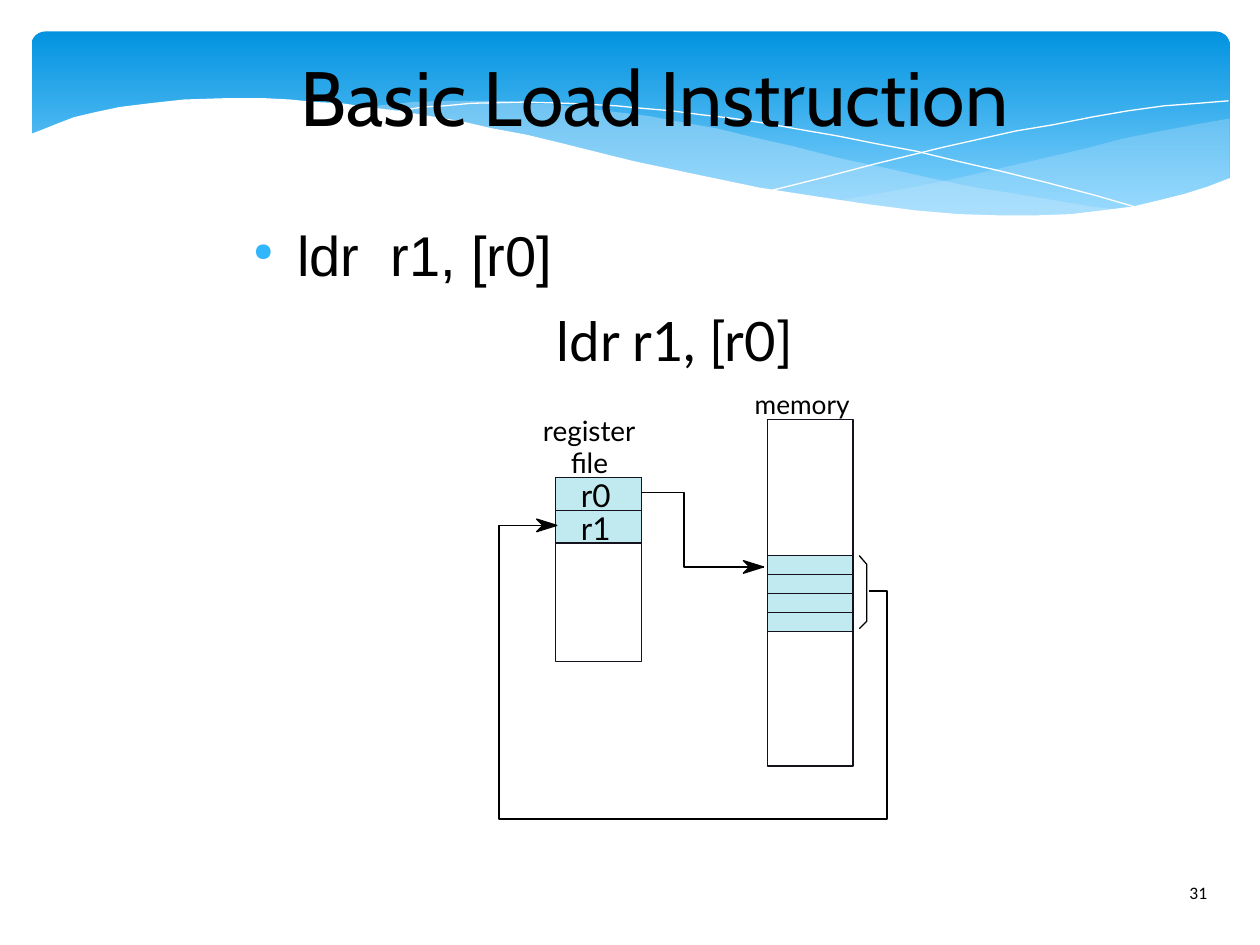
"""Build the Basic Load Instruction slide."""
from lxml import etree
from pptx import Presentation
from pptx.dml.color import RGBColor
from pptx.enum.shapes import MSO_SHAPE
from pptx.enum.text import MSO_ANCHOR, PP_ALIGN
from pptx.oxml.ns import qn
from pptx.util import Inches, Pt

RECT = MSO_SHAPE.RECTANGLE
ROUND = MSO_SHAPE.ROUNDED_RECTANGLE
LEFT, CENTER = PP_ALIGN.LEFT, PP_ALIGN.CENTER
TOP, MIDDLE = MSO_ANCHOR.TOP, MSO_ANCHOR.MIDDLE
COLORS = {"deep": "0293E0", "sky": "83D3FE", "mist": "C6E7FC", "white": "FFFFFF",
          "black": "000000", "edge": "15111D", "cell": "C1EAF0", "bullet": "31B6FD"}

prs = Presentation()
prs.slide_width, prs.slide_height = Inches(10), Inches(7.5)
slide = prs.slides.add_slide(prs.slide_layouts[6])
shapes = slide.shapes


def draw(points, fill=None, line=None, alpha=None):
    spots = [(Inches(x), Inches(y)) for x, y in points]
    form = shapes.build_freeform(*spots[0])
    form.add_line_segments(spots[1:], close=fill is not None)
    shape = form.convert_to_shape()
    shape.shadow.inherit = False
    if fill:
        shape.fill.solid()
        shape.fill.fore_color.rgb = RGBColor.from_string(COLORS[fill])
    else:
        shape.fill.background()
    if line:
        shape.line.color.rgb = RGBColor.from_string(COLORS[line])
        shape.line.width = Pt(0)
    else:
        shape.line.fill.background()
    if alpha:
        tint = next(shape.fill._xPr.iter(qn("a:srgbClr")))
        etree.SubElement(tint, qn("a:alpha"), val=str(alpha * 1000))


def write(text, x, y, w, h, size, font="Lato", align=LEFT, anchor=TOP):
    box = shapes.add_textbox(Inches(x), Inches(y), Inches(w), Inches(h))
    frame = box.text_frame
    frame.word_wrap = True
    frame.vertical_anchor = anchor
    frame.margin_left = frame.margin_right = 0
    frame.margin_top = frame.margin_bottom = 0
    para = frame.paragraphs[0]
    para.alignment = align
    run = para.add_run()
    run.text = text
    run.font.size = Pt(size)
    run.font.name = font
    run.font.color.rgb = RGBColor.from_string(COLORS["black"])
    return para


band = shapes.add_shape(ROUND, Inches(0.25), Inches(0.25), Inches(9.51), Inches(1.56))
band.adjustments[0] = 0.07
band.shadow.inherit = False
band.line.fill.background()
band.fill.gradient()
band.fill.gradient_angle = 270
for stop, name, spot in zip(band.fill.gradient_stops, ("deep", "sky"), (0, 0.9)):
    stop.color.rgb = RGBColor.from_string(COLORS[name])
    stop.position = spot

draw([(9.76, 0.94), (9.48, 0.99), (9.21, 1.04), (8.91, 1.1), (8.61, 1.18), (8.05, 1.31),
      (7.53, 1.43), (7.06, 1.52), (6.61, 1.6), (6.91, 1.64), (7.19, 1.67), (7.45, 1.69),
      (7.69, 1.71), (7.92, 1.72), (8.35, 1.72), (8.54, 1.7), (8.72, 1.69), (8.89, 1.66),
      (9.05, 1.63), (9.21, 1.6), (9.35, 1.56), (9.49, 1.52), (9.63, 1.47), (9.76, 1.41)],
     "mist", alpha=29)
draw([(8.93, 1.67), (8.66, 1.64), (8.37, 1.59), (8.07, 1.54), (7.75, 1.49), (7.41, 1.42),
      (7.06, 1.34), (6.68, 1.26), (6.29, 1.16), (5.98, 1.09), (5.69, 1.02), (5.41, 0.97),
      (5.14, 0.92), (4.89, 0.89), (4.65, 0.86), (4.42, 0.83), (4.2, 0.82), (3.99, 0.8),
      (3.61, 0.8), (3.28, 0.81), (2.99, 0.84), (2.86, 0.86), (3.23, 0.9), (3.62, 0.97),
      (4.04, 1.06), (4.49, 1.16), (4.91, 1.26), (5.3, 1.35), (5.66, 1.43), (6.01, 1.5),
      (6.34, 1.56), (6.65, 1.61), (6.95, 1.65), (7.22, 1.68), (7.48, 1.7), (7.73, 1.72),
      (7.96, 1.73), (8.28, 1.73), (8.48, 1.72), (8.67, 1.7), (8.84, 1.68)],
     "mist", alpha=40)
draw([(3.09, 0.9), (3.18, 0.88), (3.35, 0.85), (3.53, 0.84), (3.74, 0.82), (4.16, 0.81),
      (4.5, 0.82), (4.89, 0.84), (5.1, 0.86), (5.33, 0.88), (5.56, 0.91), (5.82, 0.94),
      (6.08, 0.98), (6.36, 1.03), (6.65, 1.08), (6.95, 1.14), (7.27, 1.2), (7.6, 1.28),
      (7.95, 1.36), (8.31, 1.45), (8.69, 1.55), (9.07, 1.66)], line="white")
draw([(6.13, 1.51), (6.53, 1.41), (6.95, 1.3), (7.48, 1.17), (8.06, 1.04), (8.36, 0.99),
      (8.66, 0.93), (8.95, 0.88), (9.24, 0.84), (9.51, 0.82), (9.75, 0.8)], line="white")
draw([(9.77, 1.41), (9.59, 1.48), (9.4, 1.54), (9.2, 1.59), (8.99, 1.64), (8.75, 1.67),
      (8.5, 1.7), (8.23, 1.71), (7.93, 1.71), (7.61, 1.7), (7.26, 1.67), (6.88, 1.62),
      (6.48, 1.56), (6.03, 1.49), (5.55, 1.39), (5.03, 1.28), (4.47, 1.14), (4.18, 1.07),
      (3.91, 1.02), (3.65, 0.96), (3.4, 0.92), (3.16, 0.88), (2.92, 0.85), (2.71, 0.82),
      (2.5, 0.81), (2.3, 0.79), (2.11, 0.78), (1.77, 0.78), (1.46, 0.79), (1.19, 0.82),
      (0.95, 0.85), (0.76, 0.89), (0.59, 0.93), (0.46, 0.98), (0.36, 1.02), (0.23, 1.07),
      (0.23, 2.24), (9.77, 2.24)], "white")

write("31", 9.44, 7, 0.41, 0.3, 10, "Calibri")
write("Basic Load Instruction", 1.14, 0.25, 8.11, 1.02, 44, "Cabin", CENTER, MIDDLE)

body = write("ldr  r1, [r0]", 1.89, 1.75, 8.11, 0.77, 32, "Arial")
props = body._p.get_or_add_pPr()
props.set("marL", str(Inches(0.47)))
props.set("indent", str(Inches(-0.35)))
tint = etree.SubElement(props, qn("a:buClr"))
etree.SubElement(tint, qn("a:srgbClr"), val=COLORS["bullet"])
etree.SubElement(props, qn("a:buSzPct"), val="45000")
etree.SubElement(props, qn("a:buChar"), char="●")
body.space_after = Pt(14.1)

boxes = [(4.41, 3.79, 1.46, None), (6.09, 3.33, 2.75, None)]
boxes += [(4.41, 3.79 + 0.26 * i, 0.26, "cell") for i in range(2)]
boxes += [(6.09, 4.41 + 0.15 * i, 0.15, "cell") for i in range(4)]
for x, y, high, fill in boxes:
    box = shapes.add_shape(RECT, Inches(x), Inches(y), Inches(0.68), Inches(high))
    box.shadow.inherit = False
    box.line.color.rgb = RGBColor.from_string(COLORS["edge"])
    box.line.width = Pt(0)
    if fill:
        box.fill.solid()
        box.fill.fore_color.rgb = RGBColor.from_string(COLORS[fill])
    else:
        box.fill.background()

wires = [[(5.09, 3.91), (5.43, 3.91), (5.43, 4.5), (6.06, 4.5)],
         [(6.9, 4.69), (7.04, 4.69), (7.04, 6.5), (3.96, 6.5), (3.96, 4.17), (4.42, 4.17)]]
for wire in wires:
    x, y = wire[-1]
    draw(wire, line="black")
    draw([(x - 0.11, y), (x - 0.16, y + 0.05), (x, y), (x - 0.16, y - 0.05)],
         "black", "black")
draw([(6.82, 4.41), (6.88, 4.48), (6.88, 4.93), (6.82, 4.99)], line="black")

labels = [("ldr r1, [r0]", 4.42, 2.44, 2.03, 0.57, 31),
          ("r0", 4.61, 3.78, 0.33, 0.34, 18),
          ("r1", 4.61, 4.04, 0.33, 0.34, 18),
          ("register", 4.31, 3.28, 0.84, 0.3, 16),
          ("file", 4.53, 3.54, 0.41, 0.3, 16),
          ("memory", 5.99, 3.08, 0.9, 0.3, 15)]
for label in labels:
    write(*label)

prs.save("out.pptx")
